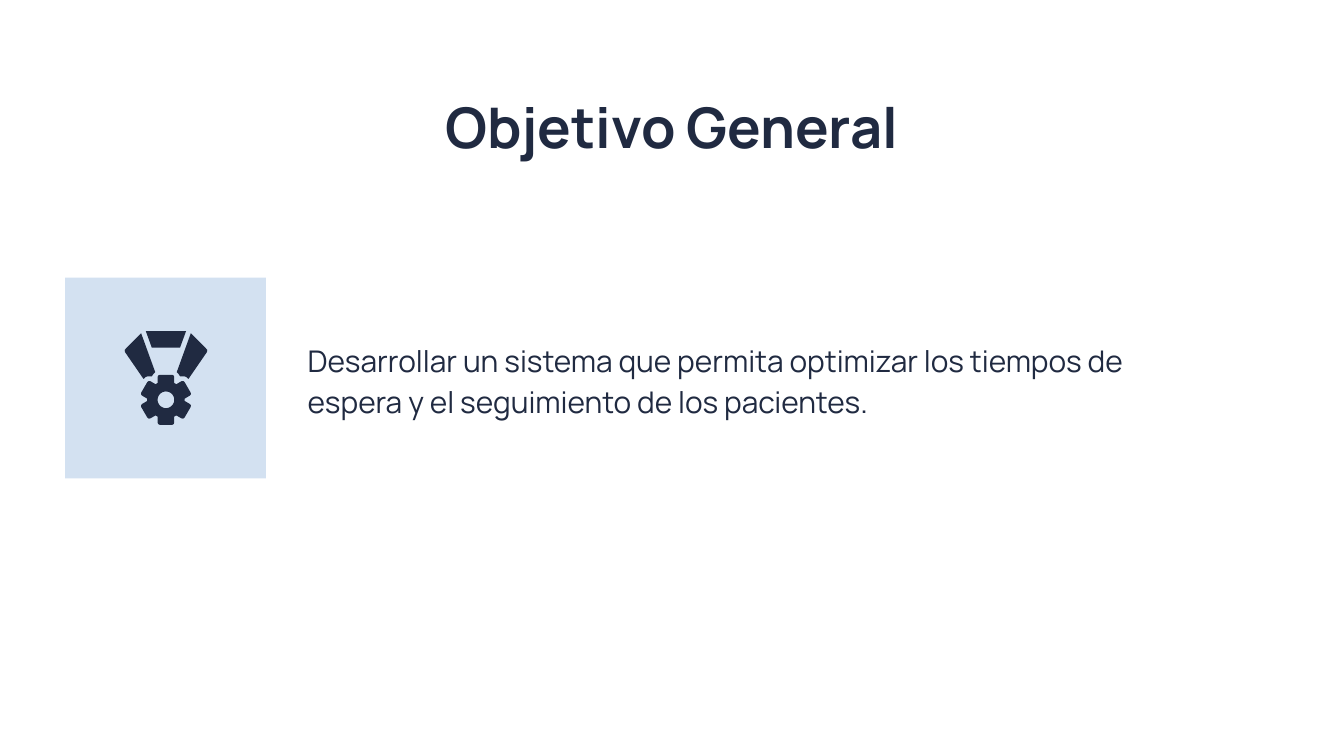
"""Build the general objective slide on a grid of 1000 columns across its width."""
from dataclasses import dataclass
from math import cos, radians, sin

from pptx import Presentation
from pptx.dml.color import RGBColor
from pptx.enum.shapes import MSO_SHAPE
from pptx.enum.text import MSO_ANCHOR, PP_ALIGN
from pptx.util import Inches, Pt

SLIDE_WIDTH = Inches(10)
SLIDE_HEIGHT = SLIDE_WIDTH * 9 // 16
UNIT = SLIDE_WIDTH / 1000
COLORS = {"background": "FFFFFF", "tile": "D3E1F1", "ink": "202A41"}
MEDAL_CENTER, GEAR_CENTER = 123.5, 297.5
Point = tuple[float, float]


@dataclass(frozen=True)
class Box:
    left: float
    top: float
    width: float
    height: float

    def lengths(self) -> list[int]:
        return [round(value * UNIT) for value in (self.left, self.top, self.width, self.height)]


@dataclass(frozen=True)
class TextBlock:
    text: str
    box: Box
    anchor: MSO_ANCHOR
    paragraph_format: dict
    font_format: dict


TEXT_BLOCKS = [
    TextBlock("Objetivo General", Box(78.7, 59, 842.6, 63), MSO_ANCHOR.TOP,
              {"alignment": PP_ALIGN.CENTER}, {"size": Pt(30), "bold": True}),
    TextBlock("Desarrollar un sistema que permita optimizar los tiempos de espera "
              "y el seguimiento de los pacientes.",
              Box(219, 163.3, 692, 236), MSO_ANCHOR.MIDDLE,
              {"alignment": PP_ALIGN.LEFT, "line_spacing": 1.15},
              {"size": Pt(16), "bold": False}),
]
STRAP = [(-18.5, 248), (-29.5, 259), (-30.7, 260.5), (-30.5, 262), (-16.7, 282),
         (-15, 280.5), (-13.5, 280), (-10.5, 280), (-9.5, 278.5), (-8, 277)]
RIBBON = [(-15, 246.3), (-10.5, 258.7), (10.5, 258.7), (15, 246.3)]
TOOTH = [(-6.2, -12.5), (-6.2, -17), (-5.7, -18.1), (-4.6, -18.6),
         (4.6, -18.6), (5.7, -18.1), (6.2, -17), (6.2, -12.5)]


def rotate(point: Point, degrees: float) -> Point:
    angle = radians(degrees)
    return (point[0] * cos(angle) - point[1] * sin(angle),
            point[0] * sin(angle) + point[1] * cos(angle))


def paint(shape, color: str) -> None:
    shape.shadow.inherit = False
    shape.fill.solid()
    shape.fill.fore_color.rgb = RGBColor.from_string(COLORS[color])
    shape.line.fill.background()


def add_outline(shapes, contours: list[list[Point]], center_y: float = 0) -> None:
    placed = [[((MEDAL_CENTER + x) * UNIT, (center_y + y) * UNIT) for x, y in contour]
              for contour in contours]
    builder = shapes.build_freeform(*placed[0][0])
    for index, contour in enumerate(placed):
        if index:
            builder.move_to(*contour[0])
        builder.add_line_segments(contour[1:], close=True)
    paint(builder.convert_to_shape(), "ink")


def add_medal(slide) -> None:
    shapes = slide.shapes.add_group_shape().shapes
    for side in (1, -1):
        add_outline(shapes, [[(side * x, y) for x, y in STRAP]])
    add_outline(shapes, [RIBBON])
    rim = [rotate(point, 60 * tooth) for tooth in range(6) for point in TOOTH]
    hole = [rotate((0, -6.2), -10 * step) for step in range(36)]
    add_outline(shapes, [rim, hole], GEAR_CENTER)


def add_text(slide, block: TextBlock) -> None:
    frame = slide.shapes.add_textbox(*block.box.lengths()).text_frame
    margins = {f"margin_{side}": Inches(0.1) for side in ("left", "top", "right", "bottom")}
    paragraph = frame.paragraphs[0]
    run = paragraph.add_run()
    run.text = block.text
    formats = [
        (frame, {"word_wrap": True, "vertical_anchor": block.anchor, **margins}),
        (paragraph, block.paragraph_format),
        (run.font, {"name": "Manrope", **block.font_format}),
    ]
    for target, values in formats:
        for name, value in values.items():
            setattr(target, name, value)
    run.font.color.rgb = RGBColor.from_string(COLORS["ink"])


def main() -> None:
    presentation = Presentation()
    presentation.slide_width, presentation.slide_height = SLIDE_WIDTH, SLIDE_HEIGHT
    slide = presentation.slides.add_slide(presentation.slide_layouts[6])
    slide.background.fill.solid()
    slide.background.fill.fore_color.rgb = RGBColor.from_string(COLORS["background"])
    tile = slide.shapes.add_shape(MSO_SHAPE.RECTANGLE, *Box(48.6, 206.7, 149.3, 149.3).lengths())
    paint(tile, "tile")
    for block in TEXT_BLOCKS:
        add_text(slide, block)
    add_medal(slide)
    presentation.save("out.pptx")


if __name__ == "__main__":
    main()
